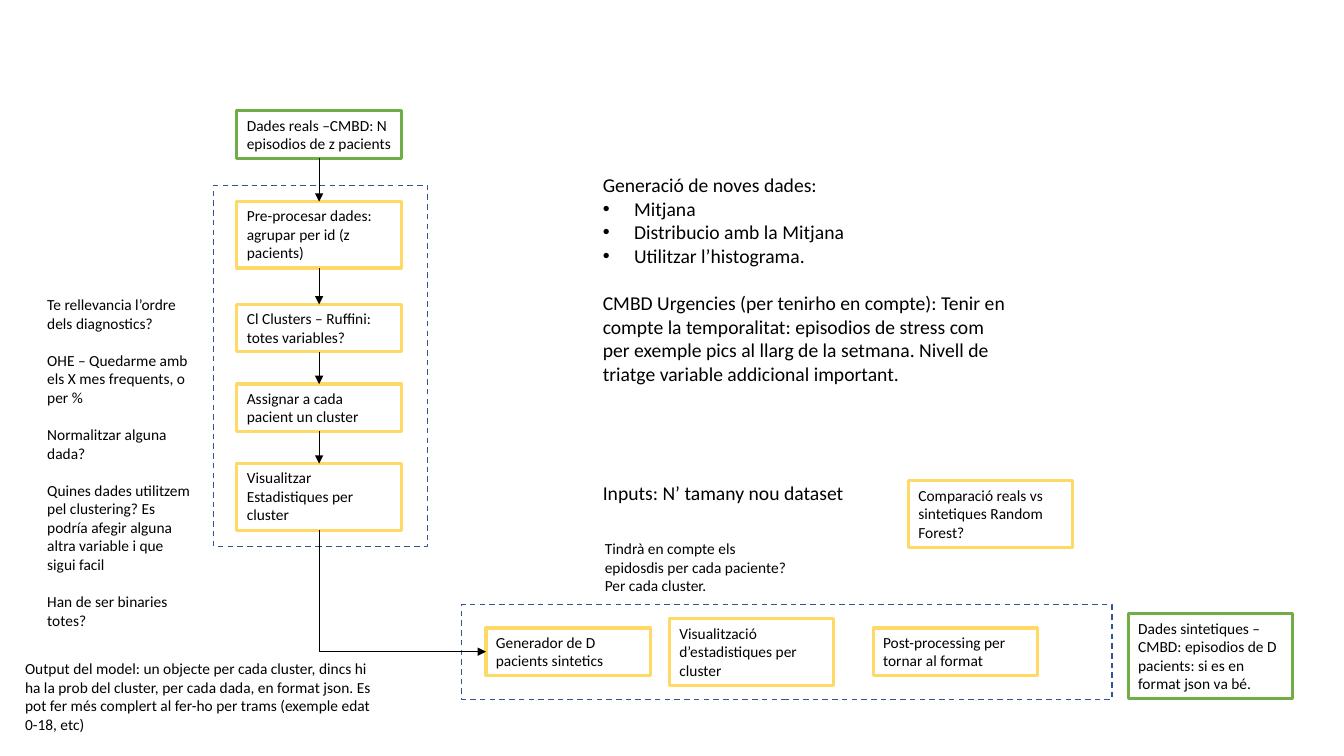
from lxml import etree
from pptx import Presentation
from pptx.dml.color import RGBColor
from pptx.enum import dml, shapes, text
from pptx.oxml import ns
from pptx.util import Inches, Pt

COLORS = {"data": "70AD47", "step": "FFD966", "group": "325491", "ink": "000000"}
FONT = "Calibri"
BOX_WIDTH = 1.63
LINE_HEIGHT = 1.22
BULLET_INDENT = 0.31

CLUSTER_LEFT = 2.35
cluster_steps = [
    ("Dades reals –CMBD: N episodios de z pacients", 1.1, 0.47, "data"),
    ("Pre-procesar dades: agrupar per id (z pacients)", 2, 0.66, "step"),
    ("Cl Clusters – Ruffini: totes variables?", 3.02, 0.47, "step"),
    ("Assignar a cada pacient un cluster", 3.81, 0.47, "step"),
    ("Visualitzar Estadistiques per cluster", 4.6, 0.66, "step"),
]
GENERATOR_LEFT, GENERATOR_MIDDLE = 4.82, 6.465
synthetic_steps = [
    ("Generador de D pacients sintetics", GENERATOR_LEFT, 6.23, 0.47, "step"),
    ("Visualització d’estadistiques per cluster", 6.64, 6.14, 0.66, "step"),
    ("Post-processing per tornar al format", 8.66, 6.23, 0.47, "step"),
    ("Dades sintetiques –CMBD: episodios de D pacients: si es en format json va bé.",
     11.19, 6.09, 0.84, "data"),
    ("Comparació reals vs sintetiques Random Forest?", 9.01, 4.77, 0.66, "step"),
]
groups = [(2.12, 1.84, 2.12, 3.58), (4.58, 6, 6.45, 0.94)]

questions = [
    "Te rellevancia l’ordre dels diagnostics?",
    "OHE – Quedarme amb els X mes frequents, o per %",
    "Normalitzar alguna dada?",
    "Quines dades utilitzem pel clustering? Es podría afegir alguna altra variable i que sigui facil",
    "Han de ser binaries totes?",
]
generation = [
    "Generació de noves dades:",
    "Mitjana",
    "Distribucio amb la Mitjana",
    "Utilitzar l’histograma.",
    "CMBD Urgencies (per tenirho en compte): Tenir en compte la temporalitat: episodios de "
    "stress com per exemple pics al llarg de la setmana. Nivell de triatge variable addicional "
    "important.",
]
notes = [
    (["Tindrà en compte els epidosdis per cada paciente? Per cada cluster."],
     (5.9, 5.3, 2.03, 0.66), 11, (), ()),
    (questions, (0.37, 2.88, 1.63, 3.43), 11, (1, 2, 3, 4), ()),
    (["Inputs: N’ tamany nou dataset"], (5.88, 4.72, 2.78, 0.34), 14, (), ()),
    (["Output del model: un objecte per cada cluster, dincs hi ha la prob del cluster, per cada "
      "dada, en format json. Es pot fer més complert al fer-ho per trams (exemple edat 0-18, etc)"],
     (0.15, 6.49, 3.64, 0.84), 11, (), ()),
    (generation, (5.88, 1.67, 4.29, 2.22), 14, (4,), (1, 2, 3)),
]


def apply(target, values):
    for name, value in values.items():
        setattr(target, name, value)


def add_bullet(paragraph):
    props = paragraph._p.get_or_add_pPr()
    indent = Inches(BULLET_INDENT)
    props.set("marL", str(indent))
    props.set("indent", str(-indent))
    etree.SubElement(props, ns.qn("a:buFont")).set("typeface", "Arial")
    etree.SubElement(props, ns.qn("a:buChar")).set("char", "•")


def write(shape, paragraphs, size, spaced=(), bulleted=()):
    frame = shape.text_frame
    apply(frame, {"word_wrap": True, "vertical_anchor": text.MSO_ANCHOR.TOP,
                  "auto_size": text.MSO_AUTO_SIZE.SHAPE_TO_FIT_TEXT})
    for index, words in enumerate(paragraphs):
        paragraph = frame.add_paragraph() if index else frame.paragraphs[0]
        paragraph.alignment = text.PP_ALIGN.LEFT
        if index in spaced:
            paragraph.space_before = Pt(size * LINE_HEIGHT)
        if index in bulleted:
            add_bullet(paragraph)
        run = paragraph.add_run()
        run.text = words
        apply(run.font, {"name": FONT, "size": Pt(size)})
        run.font.color.rgb = RGBColor.from_string(COLORS["ink"])


def add_frame(slide, place, color, width):
    frame = slide.shapes.add_shape(shapes.MSO_SHAPE.RECTANGLE, *map(Inches, place))
    frame.shadow.inherit = False
    frame.fill.background()
    frame.line.color.rgb = RGBColor.from_string(COLORS[color])
    frame.line.width = Pt(width)
    return frame


def add_step(slide, words, left, top, height, color):
    write(add_frame(slide, (left, top, BOX_WIDTH, height), color, 2.25), [words], 11)


def add_arrow(slide, kind, *ends):
    arrow = slide.shapes.add_connector(kind, *map(Inches, ends))
    arrow.line.color.rgb = RGBColor.from_string(COLORS["ink"])
    arrow.line.width = Pt(0.5)
    etree.SubElement(arrow.line._get_or_add_ln(), ns.qn("a:tailEnd")).set("type", "triangle")
    etree.SubElement(arrow._element.spPr, ns.qn("a:effectLst"))
    return arrow


def add_corner_arrow(slide, x1, y1, x2, y2):
    middle_x, middle_y = (x1 + x2) / 2, (y1 + y2) / 2
    half_run, half_drop = (x2 - x1) / 2, (y2 - y1) / 2
    arrow = add_arrow(slide, shapes.MSO_CONNECTOR.ELBOW,
                      middle_x + half_drop, middle_y - half_run,
                      middle_x - half_drop, middle_y + half_run)
    props = arrow._element.spPr
    props.find(ns.qn("a:xfrm")).set("rot", str(270 * 60000))
    props.find(ns.qn("a:prstGeom")).set("prst", "bentConnector2")


def main():
    deck = Presentation()
    apply(deck, {"slide_width": Inches(13.33), "slide_height": Inches(7.5)})
    slide = deck.slides.add_slide(deck.slide_layouts[6])

    for words, top, height, color in cluster_steps:
        add_step(slide, words, CLUSTER_LEFT, top, height, color)
    axis = CLUSTER_LEFT + BOX_WIDTH / 2
    for (_, top, height, _), (_, next_top, _, _) in zip(cluster_steps, cluster_steps[1:]):
        add_arrow(slide, shapes.MSO_CONNECTOR.STRAIGHT, axis, top + height, axis, next_top)
    for place in groups:
        add_frame(slide, place, "group", 1).line.dash_style = dml.MSO_LINE.DASH
    for step in synthetic_steps:
        add_step(slide, *step)
    _, last_top, last_height, _ = cluster_steps[-1]
    add_corner_arrow(slide, axis, last_top + last_height, GENERATOR_LEFT, GENERATOR_MIDDLE)
    for paragraphs, place, size, spaced, bulleted in notes:
        note = slide.shapes.add_textbox(*map(Inches, place))
        write(note, paragraphs, size, spaced, bulleted)

    deck.save("out.pptx")


if __name__ == "__main__":
    main()
